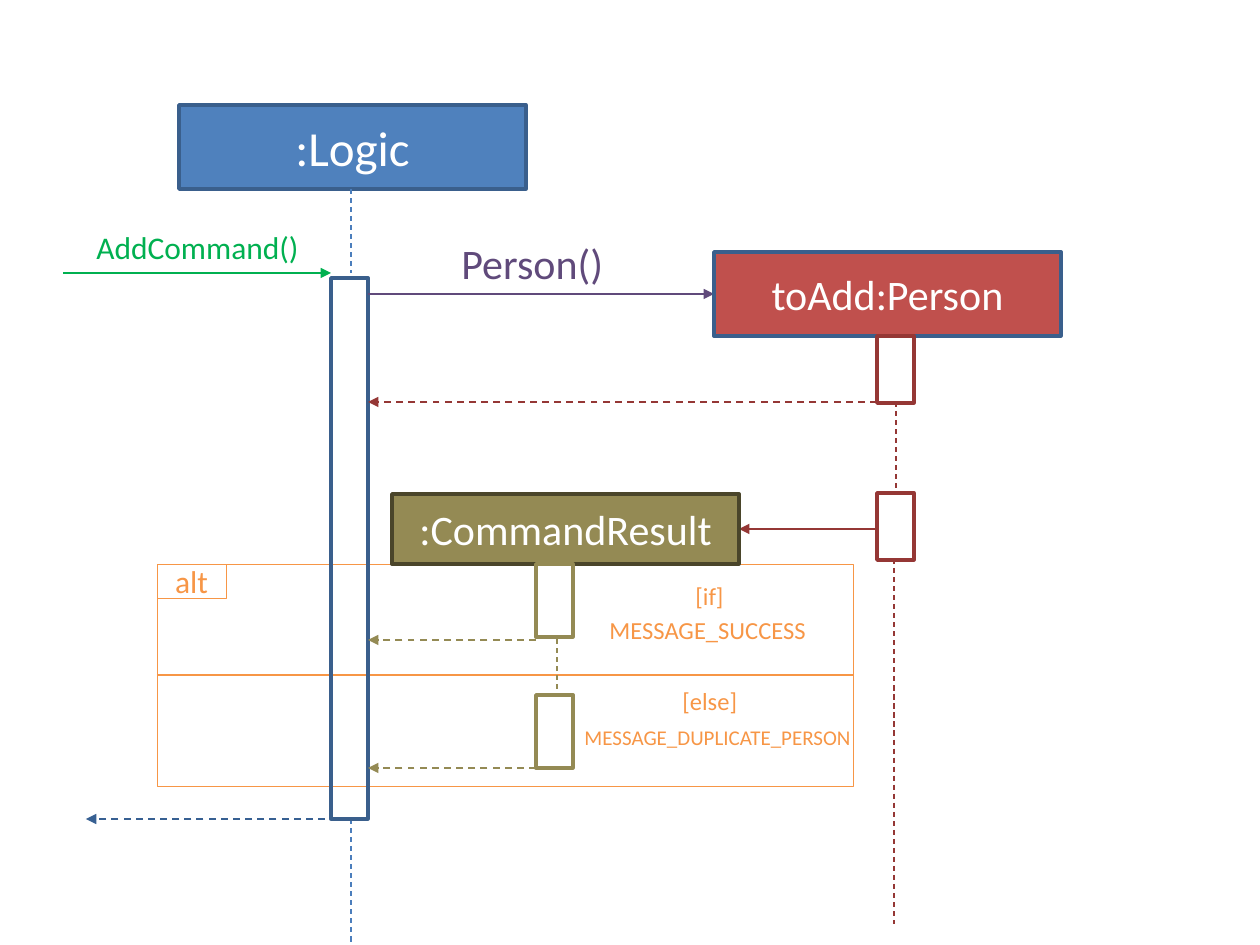
from dataclasses import dataclass

from lxml import etree
from pptx import Presentation
from pptx.dml.color import RGBColor
from pptx.enum.dml import MSO_LINE
from pptx.enum.shapes import MSO_CONNECTOR, MSO_SHAPE
from pptx.enum.text import MSO_ANCHOR, MSO_AUTO_SIZE, PP_ALIGN
from pptx.oxml.ns import qn
from pptx.util import Emu, Pt

RECTANGLE = MSO_SHAPE.RECTANGLE
STRAIGHT = MSO_CONNECTOR.STRAIGHT
DASH = MSO_LINE.DASH
LEFT, CENTER = PP_ALIGN.LEFT, PP_ALIGN.CENTER
MIDDLE = MSO_ANCHOR.MIDDLE
FIT_SHAPE = MSO_AUTO_SIZE.SHAPE_TO_FIT_TEXT
EMU_PER_PIXEL = 914400 / 126
BLANK_LAYOUT = 6


@dataclass(frozen=True)
class Theme:
    """Colours, type sizes and line widths of the diagram."""
    font: str = "Calibri"
    white: str = "FFFFFF"
    logic: str = "4F81BD"
    logic_edge: str = "3A5F8C"
    logic_lifeline: str = "4B7EBC"
    logic_return: str = "376092"
    person: str = "C0504D"
    person_edge: str = "953735"
    result: str = "948A54"
    result_edge: str = "4A452A"
    command: str = "00B050"
    create: str = "604A7B"
    alternative: str = "F79646"
    title_size: int = 28
    heading_size: int = 24
    label_size: int = 18
    guard_size: int = 14
    small_size: int = 12
    frame_width: float = 0.25
    thin_width: float = 0.75
    arrow_width: float = 1
    box_width: float = 2


def pixels(value):
    """Turn whole pixels into EMU."""
    return Emu(round(value * EMU_PER_PIXEL))


def write_text(shape, text, *, font, size, color, align=LEFT):
    """Put one formatted line of text into a shape."""
    paragraph = shape.text_frame.paragraphs[0]
    paragraph.alignment = align
    run = paragraph.add_run()
    run.text = text
    run.font.name = font
    run.font.size = Pt(size)
    run.font.color.rgb = RGBColor.from_string(color)


class SequenceDiagram:
    """Draws sequence diagram elements on one slide."""

    def __init__(self, slide, theme):
        """Keep the slide and its style."""
        self.slide = slide
        self.theme = theme

    def box(self, left, top, width, height, edge, fill=None, line_width=None,
            text=None, size=None, color=None):
        """Draw an outlined rectangle with optional fill and centred text."""
        shape = self.slide.shapes.add_shape(
            RECTANGLE, *map(pixels, (left, top, width, height)))
        shape.shadow.inherit = False
        if fill:
            shape.fill.solid()
            shape.fill.fore_color.rgb = RGBColor.from_string(fill)
        else:
            shape.fill.background()
        shape.line.color.rgb = RGBColor.from_string(edge)
        shape.line.width = Pt(line_width or self.theme.box_width)
        if text:
            shape.text_frame.vertical_anchor = MIDDLE
            shape.text_frame.word_wrap = True
            write_text(shape, text, font=self.theme.font, size=size,
                       color=color or self.theme.white, align=CENTER)

    def participant(self, left, top, height, fill, edge, text, size):
        """Draw the named head of a lifeline."""
        self.box(left, top, 347, height, edge, fill, text=text, size=size)

    def activation(self, left, top, height, edge):
        """Draw an activation bar."""
        self.box(left, top, 37, height, edge)

    def line(self, start, end, color, width, dashed=False, arrow=False):
        """Draw a straight line between two points."""
        connector = self.slide.shapes.add_connector(
            STRAIGHT, *map(pixels, (*start, *end)))
        connector.line.color.rgb = RGBColor.from_string(color)
        connector.line.width = Pt(width)
        if dashed:
            connector.line.dash_style = DASH
        if arrow:
            outline = connector.line._get_or_add_ln()
            etree.SubElement(outline, qn("a:tailEnd"), type="triangle")
        properties = connector._element.spPr
        etree.SubElement(properties, qn("a:effectLst"))

    def lifeline(self, x, top, bottom, color):
        """Draw a dashed vertical lifeline."""
        self.line((x, top), (x, bottom), color, self.theme.thin_width, dashed=True)

    def message(self, start_x, end_x, y, color, dashed=False):
        """Draw a horizontal message arrow; replies are dashed."""
        self.line((start_x, y), (end_x, y), color, self.theme.arrow_width,
                  dashed, arrow=True)

    def label(self, left, top, width, height, text, size, color):
        """Draw a text label."""
        shape = self.slide.shapes.add_textbox(
            *map(pixels, (left, top, width, height)))
        shape.text_frame.word_wrap = True
        shape.text_frame.auto_size = FIT_SHAPE
        write_text(shape, text, font=self.theme.font, size=size, color=color)


def draw_alternative(diagram, theme):
    """Draw the frame of the alternative block and its divider."""
    color = theme.alternative
    diagram.box(157, 564, 696, 222, color, line_width=theme.frame_width)
    diagram.line((157, 675), (853, 675), color, theme.thin_width)
    diagram.box(157, 564, 69, 34, color, line_width=theme.frame_width,
                text="alt", size=theme.label_size, color=color)
    for left, top, width, height, text, size in (
            (683, 575, 68, 43, "[if]", theme.guard_size),
            (597, 609, 226, 43, "MESSAGE_SUCCESS", theme.guard_size),
            (670, 680, 91, 43, "[else]", theme.guard_size),
            (572, 718, 321, 38, "MESSAGE_DUPLICATE_PERSON", theme.small_size)):
        diagram.label(left, top, width, height, text, size, color)


def draw_logic(diagram, theme):
    """Draw the logic participant and the messages it takes and sends."""
    diagram.participant(179, 105, 84, theme.logic, theme.logic_edge,
                        ":Logic", theme.title_size)
    for top, bottom in ((189, 273), (819, 945)):
        diagram.lifeline(351, top, bottom, theme.logic_lifeline)
    diagram.activation(331, 278, 541, theme.logic_edge)
    diagram.message(63, 331, 273, theme.command)
    diagram.label(84, 222, 242, 51, "AddCommand()", theme.label_size, theme.command)
    diagram.message(368, 714, 294, theme.create)
    diagram.label(449, 231, 189, 63, "Person()", theme.heading_size, theme.create)
    diagram.message(325, 86, 819, theme.logic_return, dashed=True)


def draw_person(diagram, theme):
    """Draw the person participant with its activations."""
    edge = theme.person_edge
    diagram.participant(714, 252, 84, theme.person, theme.logic_edge,
                        "toAdd:Person", theme.heading_size)
    for top in (336, 493):
        diagram.activation(877, top, 67, edge)
    diagram.lifeline(896, 402, 494, edge)
    diagram.lifeline(894, 559, 924, edge)
    diagram.message(877, 368, 402, edge, dashed=True)
    diagram.message(877, 739, 529, edge)


def draw_result(diagram, theme):
    """Draw the command result participant with its replies."""
    color = theme.result
    diagram.participant(392, 494, 70, color, theme.result_edge,
                        ":CommandResult", theme.heading_size)
    diagram.lifeline(557, 639, 693, color)
    for top, reply in ((564, 640), (695, 768)):
        diagram.activation(536, top, 73, color)
        diagram.message(536, 368, reply, color, dashed=True)


def main():
    """Build and save the presentation."""
    presentation = Presentation()
    presentation.slide_width = pixels(1260)
    presentation.slide_height = pixels(945)
    slide = presentation.slides.add_slide(presentation.slide_layouts[BLANK_LAYOUT])
    theme = Theme()
    diagram = SequenceDiagram(slide, theme)
    for draw in (draw_alternative, draw_logic, draw_person, draw_result):
        draw(diagram, theme)
    presentation.save("out.pptx")


main()
